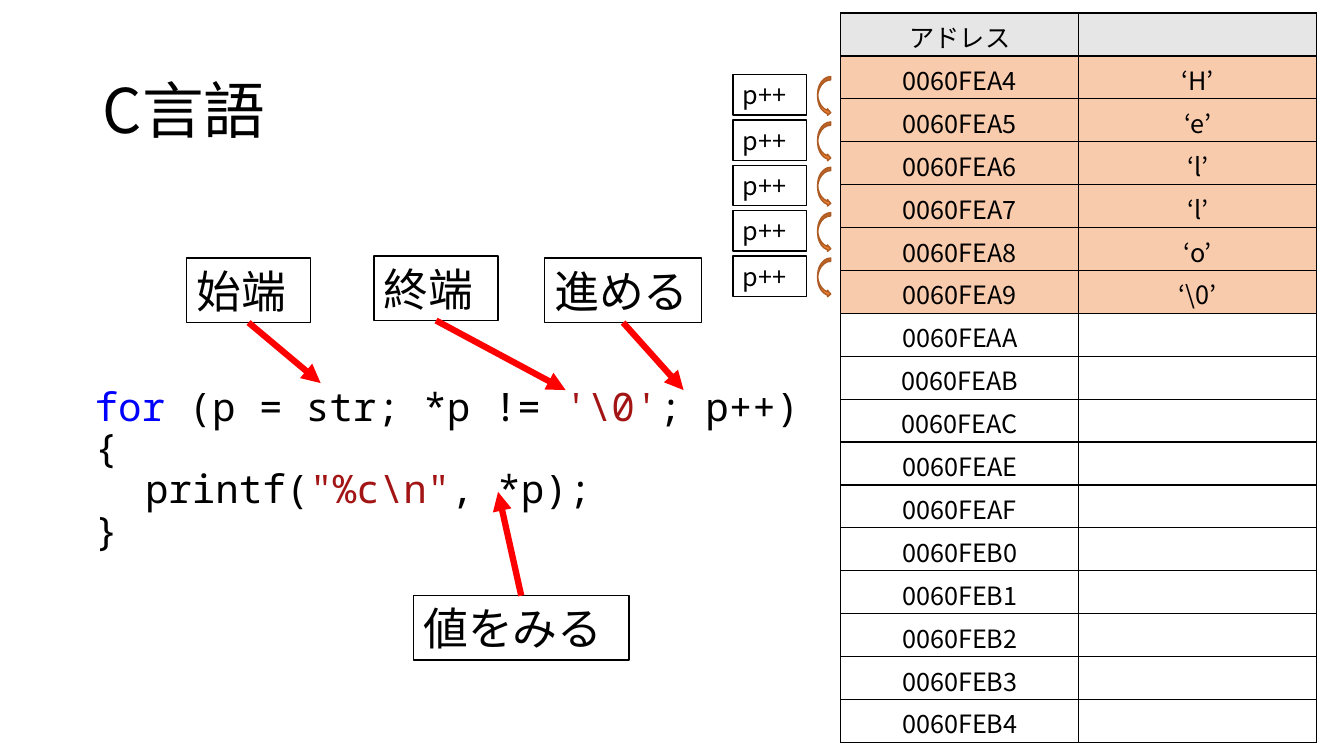
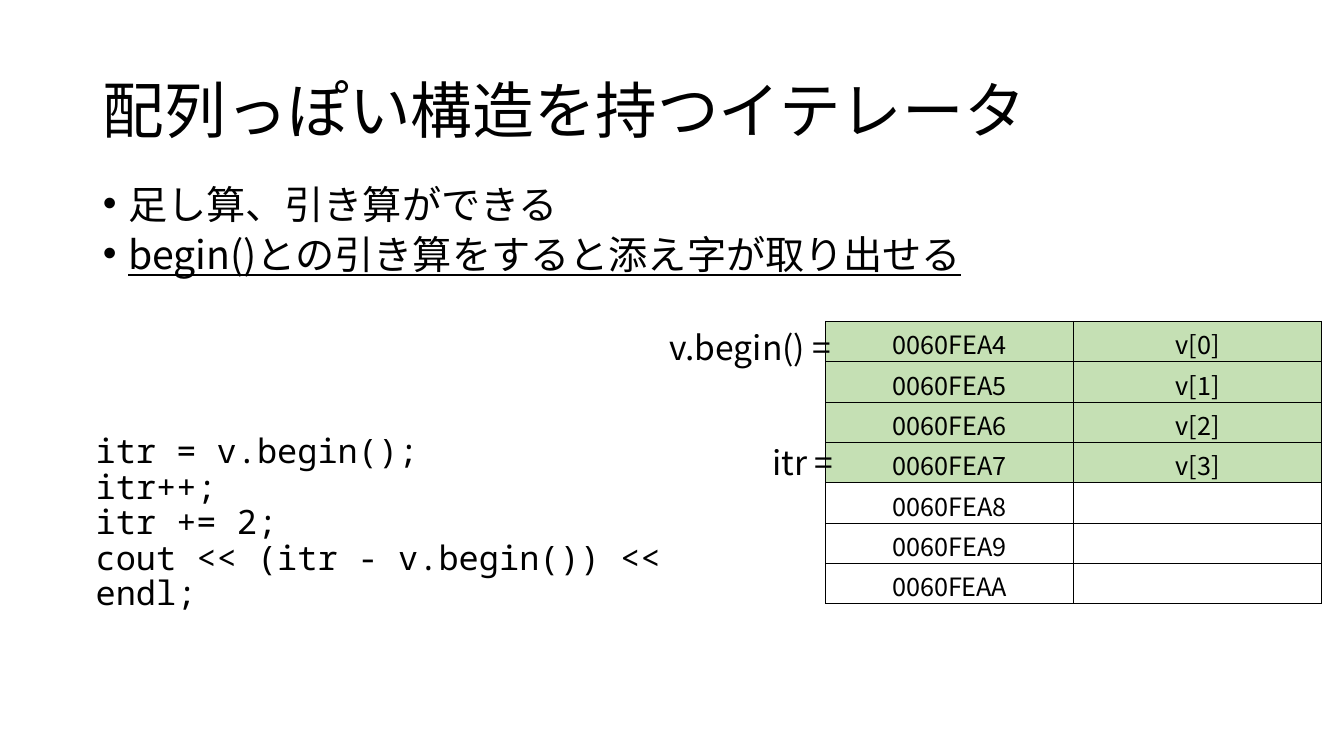
import dataclasses

import lxml.etree
import pptx
import pptx.dml.color
import pptx.enum.shapes
import pptx.enum.text
import pptx.oxml.ns
import pptx.util

Inches = pptx.util.Inches
Pt = pptx.util.Pt
qn = pptx.oxml.ns.qn
SHAPES = pptx.enum.shapes.MSO_SHAPE
ANCHOR = pptx.enum.text.MSO_ANCHOR
ALIGN = pptx.enum.text.PP_ALIGN


@dataclasses.dataclass(frozen=True)
class Theme:
    text_font: str = "Noto Sans CJK JP"
    code_font: str = "Noto Sans Mono"
    text: str = "000000"
    paper: str = "FFFFFF"
    keyword: str = "0000FF"
    literal: str = "A31515"
    pointer: str = "FF0000"
    step: str = "ED7D31"
    step_line: str = "AF5C24"
    header: str = "E7E6E6"
    string_cells: str = "F8CBAD"
    vector_cells: str = "C5E0B4"
    title_size: int = 44
    label_size: int = 32
    body_size: int = 28
    note_size: int = 24
    small_size: int = 18


THEME = Theme()


def rgb(value):
    return pptx.dml.color.RGBColor.from_string(value)


class Deck:
    def __init__(self, theme):
        self.theme = theme
        self.presentation = pptx.Presentation()
        self.presentation.slide_width = Inches(13.33)
        self.presentation.slide_height = Inches(7.5)
        self.slide = None

    def style(self, paragraph, size, font=None):
        paragraph.font.name = font or self.theme.text_font
        paragraph.font.size = Pt(size)
        paragraph.font.color.rgb = rgb(self.theme.text)

    def place(self, shape, box):
        shape.left, shape.top, shape.width, shape.height = map(Inches, box)

    def indent(self, shape, lefts, first=0):
        for properties, left in zip(shape.element.iter(qn("a:pPr")), lefts):
            properties.set("marL", str(Inches(left)))
            properties.set("indent", str(Inches(first)))

    def add_slide(self, title, layout, title_width):
        self.slide = self.presentation.slides.add_slide(
            self.presentation.slide_layouts.get_by_name(layout))
        shape = self.slide.shapes.title
        self.place(shape, (0.92, 0.4, title_width, 1.45))
        shape.text_frame.text = title
        shape.text_frame.vertical_anchor = ANCHOR.MIDDLE
        paragraph = shape.text_frame.paragraphs[0]
        paragraph.alignment = ALIGN.LEFT
        paragraph.line_spacing = 0.9
        self.style(paragraph, self.theme.title_size)

    def bullets(self, box, lines, underlined):
        shape = self.slide.placeholders[1]
        self.place(shape, box)
        shape.text_frame.text = "\n".join(lines)
        for paragraph in shape.text_frame.paragraphs:
            self.style(paragraph, self.theme.body_size)
            paragraph.line_spacing = 0.75
            paragraph.space_before = Pt(10)
            if paragraph.text in underlined:
                paragraph.font.underline = True
        self.indent(shape, [0.25] * len(lines), -0.25)

    def code(self, box, size, lines):
        """Each line is (indent in inches, [(text, colour), ...])."""
        shape = self.slide.shapes.add_textbox(*map(Inches, box))
        frame = shape.text_frame
        frame.word_wrap = True
        for number, (_, runs) in enumerate(lines):
            paragraph = frame.add_paragraph() if number else frame.paragraphs[0]
            self.style(paragraph, size, self.theme.code_font)
            paragraph.line_spacing = 0.88
            for text, color in runs:
                run = paragraph.add_run()
                run.text = text
                if color != self.theme.text:
                    run.font.color.rgb = rgb(color)
        self.indent(shape, [left for left, _ in lines])

    def fill_label(self, shape, text, size):
        frame = shape.text_frame
        frame.text = text
        frame.word_wrap = True
        frame.vertical_anchor = ANCHOR.MIDDLE
        frame.margin_top = frame.margin_bottom = 0
        frame.paragraphs[0].alignment = ALIGN.LEFT
        self.style(frame.paragraphs[0], size)

    def note(self, box, text):
        shape = self.slide.shapes.add_textbox(*map(Inches, box))
        self.fill_label(shape, text, self.theme.note_size)

    def shape(self, kind, box, fill, line):
        shape = self.slide.shapes.add_shape(kind, *map(Inches, box))
        shape.shadow.inherit = False
        shape.fill.solid()
        shape.fill.fore_color.rgb = rgb(fill)
        shape.line.color.rgb = rgb(line)
        shape.line.width = Pt(1)
        return shape

    def label(self, box, text, size):
        shape = self.shape(SHAPES.RECTANGLE, box, self.theme.paper, self.theme.text)
        self.fill_label(shape, text, size)
        return shape

    def pointer(self, label, side, end):
        connector = self.slide.shapes.add_connector(
            pptx.enum.shapes.MSO_CONNECTOR.STRAIGHT, 0, 0, *map(Inches, end))
        connector.begin_connect(label, side)
        connector.line.color.rgb = rgb(self.theme.pointer)
        connector.line.width = Pt(4.5)
        line = connector.element.spPr.find(qn("a:ln"))
        lxml.etree.SubElement(line, qn("a:tailEnd"), type="triangle")
        lxml.etree.SubElement(connector.element.spPr, qn("a:effectLst"))

    def memory_table(self, box, rows, fills, has_header=False):
        frame = self.slide.shapes.add_table(len(rows), 2, *map(Inches, box))
        table = frame.table
        table.first_row = table.horz_banding = False
        for row, texts, fill in zip(table.rows, rows, fills):
            for cell, text in zip(row.cells, texts):
                cell.text = text
                cell.vertical_anchor = ANCHOR.MIDDLE
                cell.margin_top, cell.margin_bottom = Inches(0.04), 0
                cell.fill.solid()
                cell.fill.fore_color.rgb = rgb(fill)
                paragraph = cell.text_frame.paragraphs[0]
                paragraph.alignment = ALIGN.CENTER
                self.style(paragraph, self.theme.small_size)
        heavy = {(0, "lnT"), (0, "lnB"), (1, "lnT")} if has_header else set()
        for number, row in enumerate(frame.element.iter(qn("a:tr"))):
            for properties in row.iter(qn("a:tcPr")):
                for position, edge in enumerate(("lnL", "lnR", "lnT", "lnB")):
                    width = Pt(1.5 if (number, edge) in heavy else 1)
                    line = lxml.etree.Element(qn("a:" + edge), w=str(width))
                    fill = lxml.etree.SubElement(line, qn("a:solidFill"))
                    lxml.etree.SubElement(fill, qn("a:srgbClr"), val=self.theme.text)
                    properties.insert(position, line)

    def use_fonts_for_japanese(self):
        for slide in self.presentation.slides:
            for latin in list(slide.element.iter(qn("a:latin"))):
                latin.addnext(lxml.etree.Element(
                    qn("a:ea"), typeface=latin.get("typeface")))


def add_c_slide(deck):
    theme = deck.theme
    deck.add_slide("C言語", "Title Only", 2.8)
    deck.code((0.34, 3.8, 8.08, 1.9), theme.body_size, [
        (0.5, [("for", theme.keyword), (" (p = str; *p != ", theme.text),
               ("'\\0'", theme.literal), ("; p++) {", theme.text)]),
        (1, [("printf(", theme.text), ('"%c\\n"', theme.literal),
             (", *p);", theme.text)]),
        (0.5, [("}", theme.text)]),
    ])

    characters = ["‘H’", "‘e’", "‘l’", "‘l’", "‘o’", "‘\\0’"]
    endings = "A4 A5 A6 A7 A8 A9 AA AB AC AE AF B0 B1 B2 B3 B4".split()
    blanks = len(endings) - len(characters)
    values = characters + [""] * blanks
    rows = [("アドレス", "")]
    rows += [("0060FE" + ending, value) for ending, value in zip(endings, values)]
    fills = [theme.header] + [theme.string_cells] * len(characters)
    fills += [theme.paper] * blanks
    deck.memory_table((8.34, 0.13, 4.72, 7.24), rows, fills, has_header=True)

    for number in range(len(characters) - 1):
        offset = 0.45 * number
        deck.shape(SHAPES.CURVED_RIGHT_ARROW, (8.11, 0.76 + offset, 0.13, 0.39),
                   theme.step, theme.step_line)
        deck.label((7.27, 0.74 + offset, 0.73, 0.4), "p++", theme.small_size)

    bottom, top = 2, 0
    for text, box, side, end in [
        ("始端", (1.85, 2.56, 1.23, 0.64), bottom, (3.18, 3.8)),
        ("終端", (3.71, 2.54, 1.23, 0.64), bottom, (5.61, 3.87)),
        ("進める", (5.4, 2.56, 1.56, 0.64), bottom, (6.78, 3.87)),
        ("値をみる", (4.1, 5.91, 2.14, 0.64), top, (4.94, 4.88)),
    ]:
        deck.pointer(deck.label(box, text, theme.label_size), side, end)


def add_iterator_slide(deck):
    theme = deck.theme
    deck.add_slide("配列っぽい構造を持つイテレータ", "Title and Content", 11.5)
    subtraction = "begin()との引き算をすると添え字が取り出せる"
    deck.bullets((0.92, 1.85, 11.5, 1.27),
                 ["足し算、引き算ができる", subtraction], {subtraction})
    statements = ["itr = v.begin();", "itr++;", "itr += 2;",
                  "cout << (itr - v.begin()) << endl;"]
    deck.code((0.85, 4.27, 6.58, 1.72), theme.note_size,
              [(0, [(statement, theme.text)]) for statement in statements])

    endings = "A4 A5 A6 A7 A8 A9 AA".split()
    used = 4
    rows = [("0060FE" + ending, f"v[{index}]" if index < used else "")
            for index, ending in enumerate(endings)]
    fills = [theme.vector_cells] * used + [theme.paper] * (len(rows) - used)
    deck.memory_table((8.19, 3.19, 4.92, 2.8), rows, fills)
    deck.note((6.54, 3.19, 2, 0.5), "v.begin() =")
    deck.note((7.56, 4.33, 0.98, 0.5), "itr =")


def main():
    deck = Deck(THEME)
    add_c_slide(deck)
    add_iterator_slide(deck)
    deck.use_fonts_for_japanese()
    deck.presentation.save("out.pptx")


if __name__ == "__main__":
    main()
